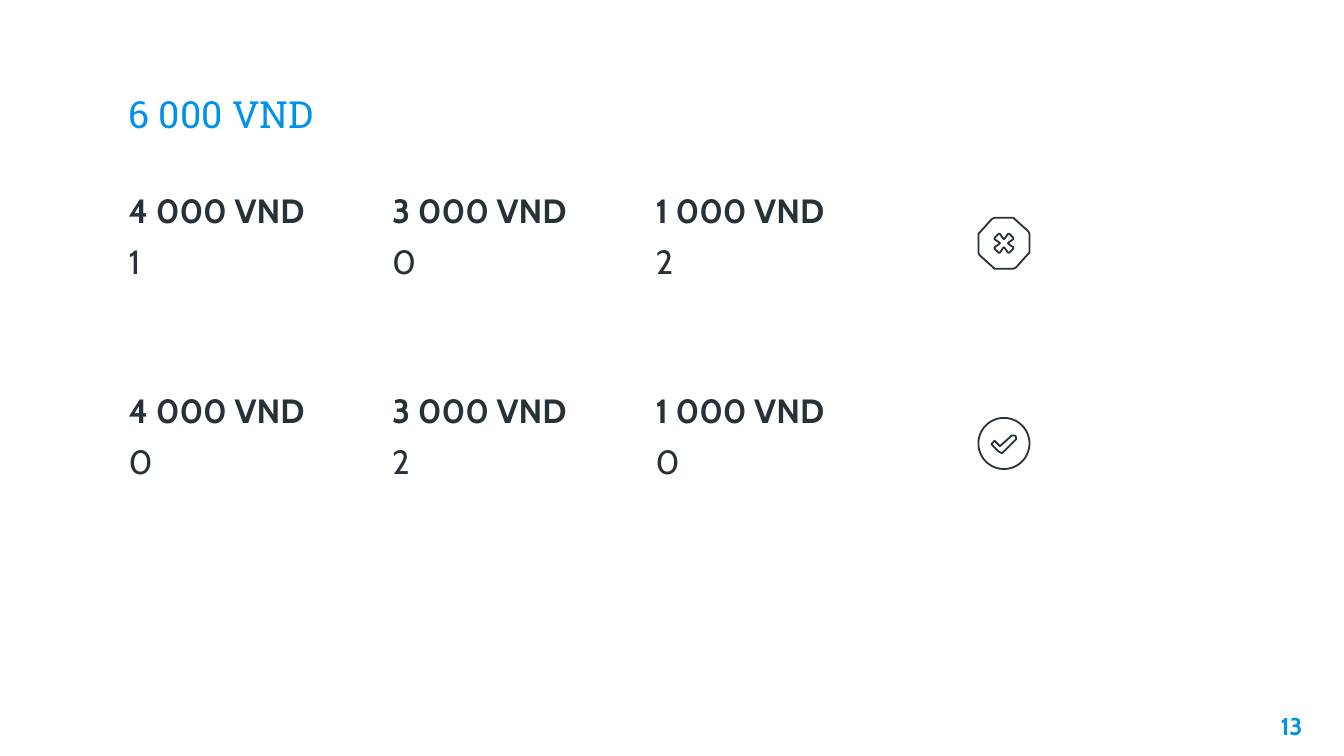
"""Build a slide comparing two ways of paying 6 000 VND."""
import math
from dataclasses import dataclass

import pptx
import pptx.dml.color
import pptx.enum.text
import pptx.util
from pptx.util import Inches

BLUE = "0091EA"
DARK = "263238"
COINS = ("4 000 VND", "3 000 VND", "1 000 VND")
LEFT, COLUMN = 0.86, 1.96


Points = list[tuple[float, float]]


@dataclass
class Style:
    """Look of a text run."""
    size: float
    color: str
    font: str = "Cabin"
    bold: bool = False


@dataclass
class Icon:
    """Closed contours around a centre point."""
    x: float
    y: float
    contours: list[Points]


@dataclass
class Solution:
    """One row of coin counts with its verdict icon."""
    top: float
    counts: tuple[str, str, str]
    icon: Icon


def rgb(value: str) -> pptx.dml.color.RGBColor:
    """Turn a hex string into a colour."""
    return pptx.dml.color.RGBColor.from_string(value)


def four_turns(quarter: Points) -> Points:
    """Repeat a quarter outline at each right angle."""
    points, part = [], quarter
    for _ in range(4):
        points += part
        part = [(-y, x) for x, y in part]
    return points


def add_text(s, x: float, y: float, w: float, h: float,
             lines: list[tuple[str, Style]], align=None, anchor=None) -> None:
    """Add a text box with one paragraph per line."""
    tf = s.shapes.add_textbox(Inches(x), Inches(y), Inches(w), Inches(h)).text_frame
    tf.word_wrap = True
    tf.margin_left = tf.margin_right = Inches(0.1)
    tf.margin_top = tf.margin_bottom = Inches(0.1)
    tf.vertical_anchor = anchor or pptx.enum.text.MSO_ANCHOR.TOP
    for i, (text, style) in enumerate(lines):
        p = tf.add_paragraph() if i else tf.paragraphs[0]
        p.alignment = align
        if i:
            p.space_before = pptx.util.Pt(6)
        r = p.add_run()
        r.text = text
        r.font.name = style.font
        r.font.size = pptx.util.Pt(style.size)
        r.font.bold = style.bold
        r.font.color.rgb = rgb(style.color)


def add_icon(s, icon: Icon) -> None:
    """Draw all contours of an icon as one outlined freeform."""
    paths = [[(Inches(icon.x + x), Inches(icon.y + y)) for x, y in contour]
             for contour in icon.contours]
    builder = s.shapes.build_freeform(*paths[0][0])
    builder.add_line_segments(paths[0][1:])
    for path in paths[1:]:
        builder.move_to(*path[0])
        builder.add_line_segments(path[1:])
    sp = builder.convert_to_shape()
    sp.shadow.inherit = False
    sp.fill.background()
    sp.line.color.rgb = rgb(DARK)
    sp.line.width = pptx.util.Pt(0.96)


def add_solution(s, solution: Solution) -> None:
    """Draw the coin columns and the icon of a solution."""
    for i, (coin, count) in enumerate(zip(COINS, solution.counts)):
        lines = [(coin, Style(18, DARK, bold=True)), (count, Style(18, DARK))]
        add_text(s, LEFT + i * COLUMN, solution.top, COLUMN, 0.99, lines)
    add_icon(s, solution.icon)


def main() -> None:
    """Build and save the slide."""
    octagon = four_turns([(0.07, -0.19), (0.08, -0.18), (0.18, -0.09), (0.19, -0.07)])
    cross = four_turns([(0, -0.03), (0.01, -0.04), (0.03, -0.07), (0.04, -0.07),
                        (0.07, -0.04), (0.07, -0.03), (0.04, -0.01)])
    angles = [math.radians(3 * i) for i in range(30)]
    circle = four_turns([(0.19 * math.cos(a), 0.19 * math.sin(a)) for a in angles])
    check = [(-0.02, 0.07), (-0.01, 0.07), (0.09, -0.03), (0.09, -0.04), (0.09, -0.05),
             (0.08, -0.06), (0.07, -0.06), (0.06, -0.06), (-0.03, 0.02), (-0.06, -0.01),
             (-0.07, -0.02), (-0.08, -0.01), (-0.09, 0), (-0.09, 0.01), (-0.04, 0.06)]
    solutions = [
        Solution(1.31, ("1", "0", "2"), Icon(7.47, 1.81, [octagon, cross])),
        Solution(2.8, ("0", "2", "0"), Icon(7.47, 3.3, [circle, check])),
    ]

    prs = pptx.Presentation()
    prs.slide_width = Inches(10)
    prs.slide_height = Inches(10 * 9 / 16)
    s = prs.slides.add_slide(prs.slide_layouts[6])
    add_text(s, LEFT, 0.34, 8.28, 0.77, [("6 000 VND", Style(20, BLUE, "Roboto Slab"))],
             anchor=pptx.enum.text.MSO_ANCHOR.BOTTOM)
    for solution in solutions:
        add_solution(s, solution)
    add_text(s, 9.19, 5.19, 0.6, 0.43, [("13", Style(13, BLUE, bold=True))],
             align=pptx.enum.text.PP_ALIGN.RIGHT)
    prs.save("out.pptx")


if __name__ == "__main__":
    main()
